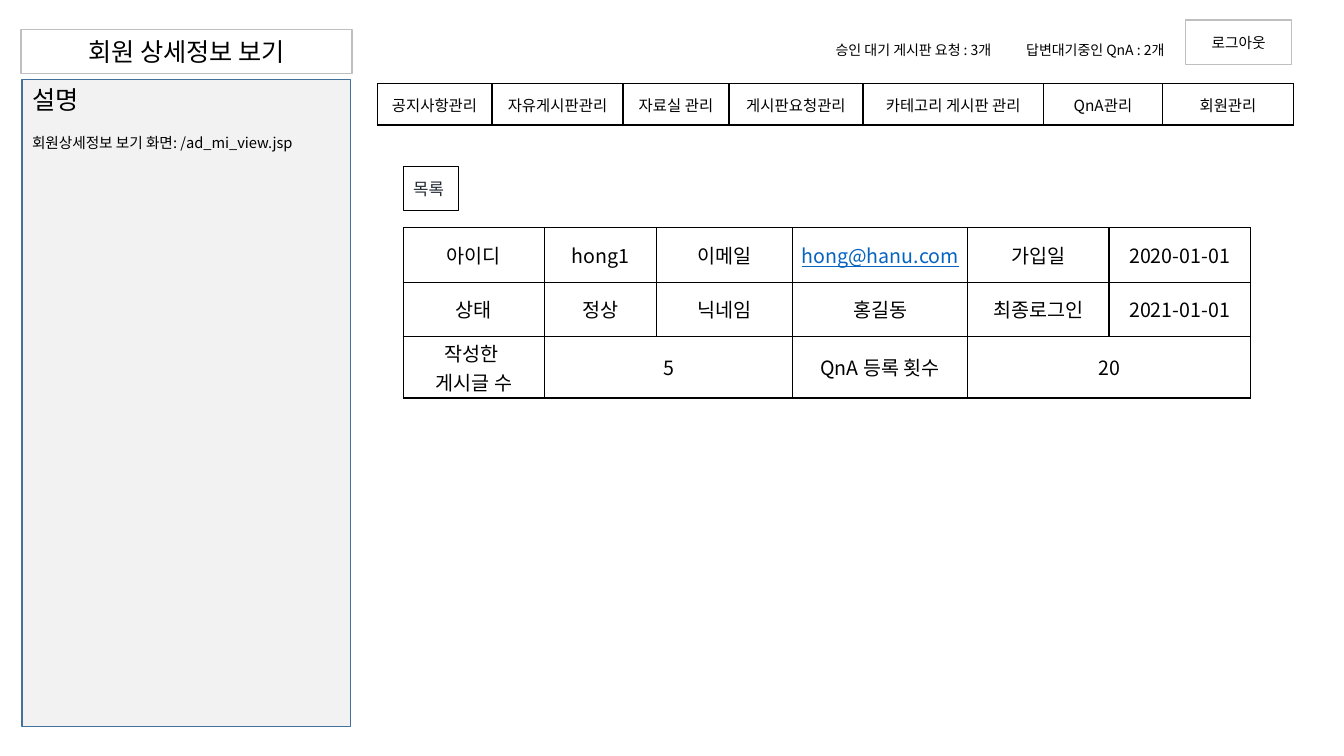
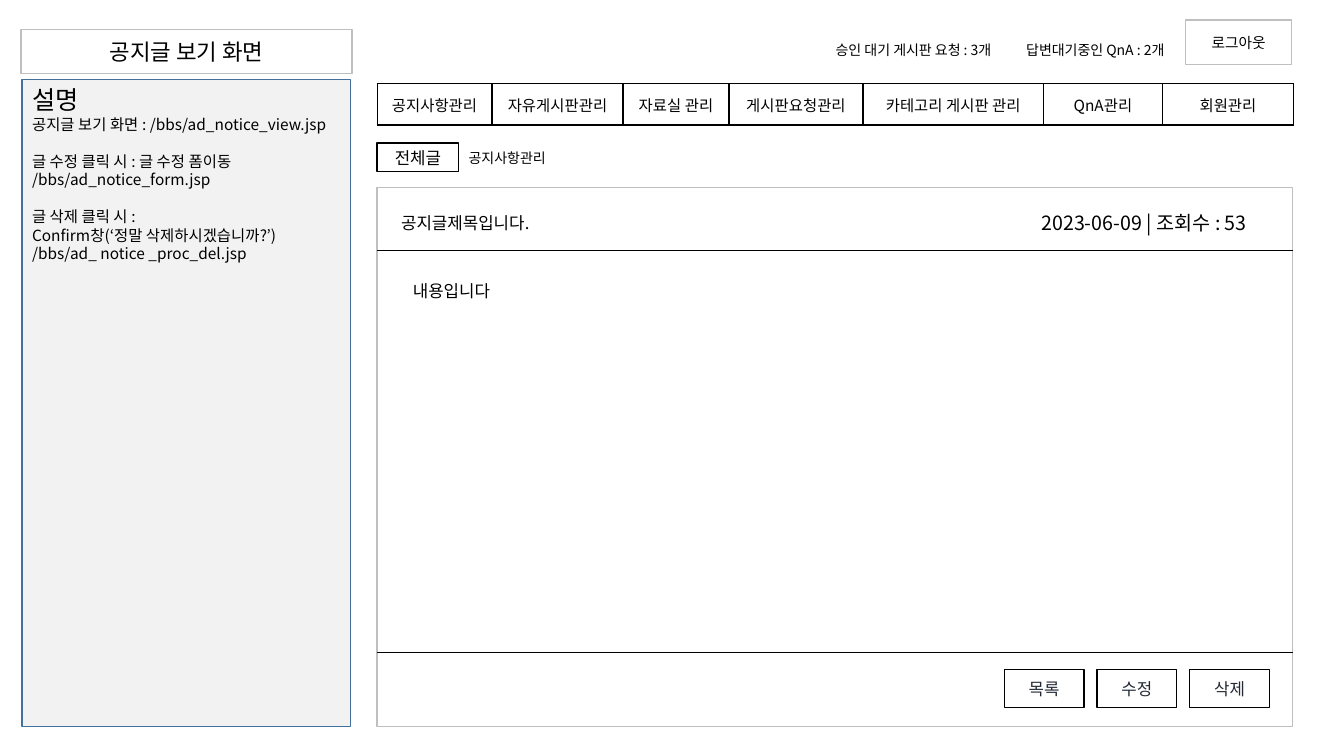
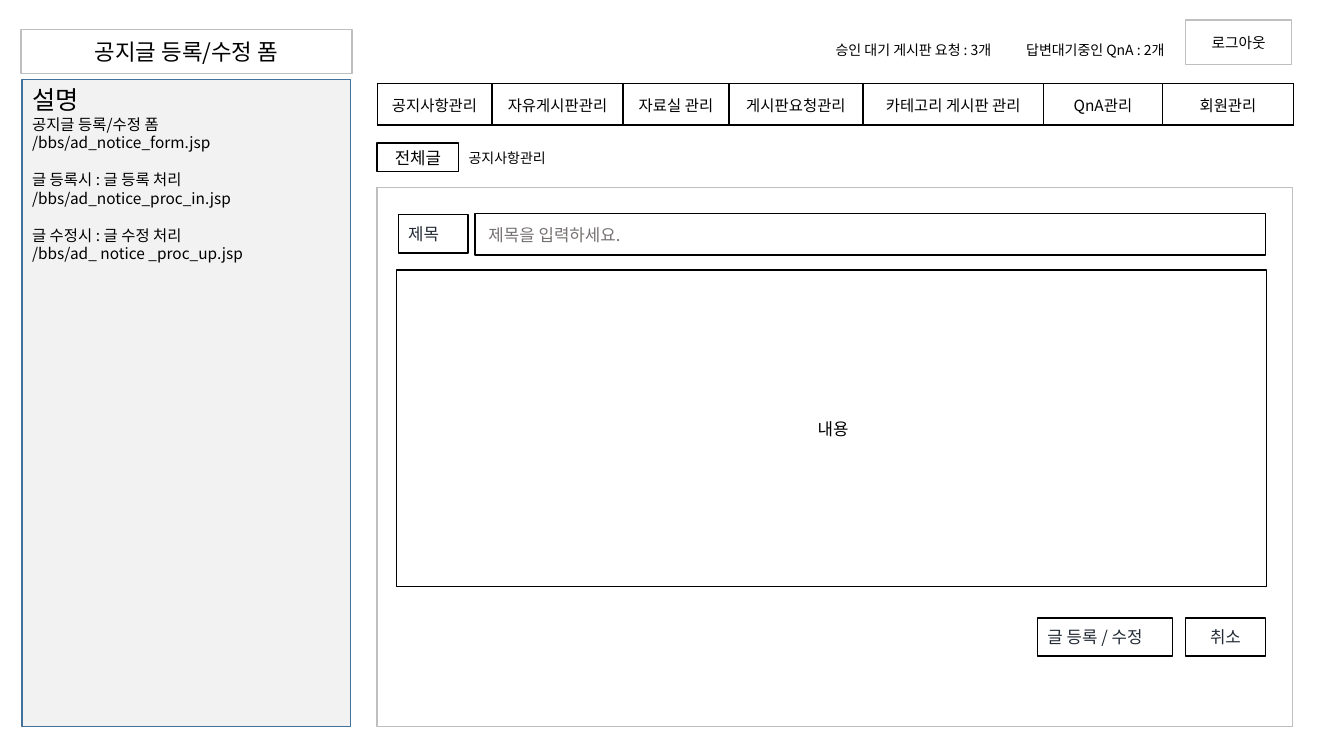
"""Build three admin wireframe slides: member detail, notice view and notice form."""
from lxml import etree
from pptx import Presentation
from pptx.dml.color import RGBColor
from pptx.enum import shapes, text
from pptx.oxml.ns import qn
from pptx.util import Inches, Pt

FONT = "Noto Sans CJK KR"
BLACK = RGBColor(0x00, 0x00, 0x00)
WHITE = RGBColor(0xFF, 0xFF, 0xFF)
SILVER = RGBColor(0xBF, 0xBF, 0xBF)
PANEL_GREY = RGBColor(0xF2, 0xF2, 0xF2)
PANEL_BLUE = RGBColor(0x42, 0x71, 0x9B)
BUTTON_INK = RGBColor(0x22, 0x2A, 0x35)
HINT_GREY = RGBColor(0x76, 0x71, 0x71)
LINK_BLUE = RGBColor(0x05, 0x63, 0xC1)

LEFT, CENTER = text.PP_ALIGN.LEFT, text.PP_ALIGN.CENTER
TOP, MIDDLE = text.MSO_ANCHOR.TOP, text.MSO_ANCHOR.MIDDLE

MENU = ["공지사항관리", "자유게시판관리", "자료실 관리", "게시판요청관리",
        "카테고리 게시판 관리", "QnA관리", "회원관리"]
MENU_WIDTHS = [1.14, 1.3, 1.05, 1.33, 1.79, 1.18, 1.3]
COUNTERS = [("답변대기중인 QnA : 2개", 10.08, 1.72),
            ("승인 대기 게시판 요청 : 3개", 8.19, 1.96)]

EMAIL = "hong@hanu.com"
MEMBER = [["아이디", "hong1", "이메일", EMAIL, "가입일", "2020-01-01"],
          ["상태", "정상", "닉네임", "홍길동", "최종로그인", "2021-01-01"],
          ["작성한 \n게시글 수", "5", "", "QnA 등록 횟수", "20", ""]]
MEMBER_WIDTHS = [1.4, 1.11, 1.35, 1.74, 1.4, 1.4]
MEMBER_HEIGHTS = [0.54, 0.54, 0.61]
MEMBER_MERGES = [(2, 1, 2), (2, 4, 5)]

DETAIL_NOTES = [["회원상세정보 보기 화면: /ad_mi_view.jsp"]]
VIEW_NOTES = [["공지글 보기 화면 : /bbs/ad_notice_view.jsp"],
              ["글 수정 클릭 시 : 글 수정 폼이동", "/bbs/ad_notice_form.jsp"],
              ["글 삭제 클릭 시 :", "Confirm창(‘정말 삭제하시겠습니까?’)",
               "/bbs/ad_ notice _proc_del.jsp"]]
FORM_NOTES = [["공지글 등록/수정 폼", "/bbs/ad_notice_form.jsp"],
              ["글 등록시 : 글 등록 처리", "/bbs/ad_notice_proc_in.jsp"],
              ["글 수정시 : 글 수정 처리", "/bbs/ad_ notice _proc_up.jsp"]]
VIEW_BUTTONS = ["목록", "수정", "삭제"]

MAIN_LEFT, MAIN_RIGHT = 3.74, 12.82
NOTE_GAP = 13.2


def style(paragraph, size, color=BLACK, align=LEFT):
    paragraph.alignment = align
    for run in paragraph.runs:
        run.font.size = Pt(size)
        run.font.color.rgb = color
        run.font.name = FONT
        etree.SubElement(run.font._element, qn("a:ea"), typeface=FONT)


def box(slide, place, words="", size=12, color=BLACK, line=BLACK, fill=WHITE,
        align=CENTER, anchor=MIDDLE):
    rect = slide.shapes.add_shape(shapes.MSO_SHAPE.RECTANGLE, *map(Inches, place))
    rect.shadow.inherit = False
    rect.fill.solid()
    rect.fill.fore_color.rgb = fill
    if line is None:
        rect.line.fill.background()
    else:
        rect.line.color.rgb = line
        rect.line.width = Pt(1)
    frame = rect.text_frame
    frame.word_wrap = True
    frame.vertical_anchor = anchor
    if words:
        frame.text = words
        style(frame.paragraphs[0], size, color, align)
    return rect


def label(slide, place, words, size=10):
    frame = slide.shapes.add_textbox(*map(Inches, place)).text_frame
    frame.word_wrap = True
    frame.text = words
    style(frame.paragraphs[0], size)


def rule(slide, y):
    divider = slide.shapes.add_connector(
        shapes.MSO_CONNECTOR.STRAIGHT,
        Inches(MAIN_LEFT), Inches(y), Inches(MAIN_RIGHT), Inches(y))
    divider.line.color.rgb = BLACK
    divider.line.width = Pt(0.5)
    etree.SubElement(divider._element.spPr, qn("a:effectLst"))


def outline(cell):
    properties = cell._tc.get_or_add_tcPr()
    for position, side in enumerate(("a:lnL", "a:lnR", "a:lnT", "a:lnB")):
        border = etree.Element(qn(side), w=str(Pt(1)))
        solid = etree.SubElement(border, qn("a:solidFill"))
        etree.SubElement(solid, qn("a:srgbClr"), val=str(BLACK))
        properties.insert(position, border)


def grid(slide, left, top, rows, widths, heights, size, inset):
    table = slide.shapes.add_table(
        len(rows), len(widths), Inches(left), Inches(top),
        Inches(sum(widths)), Inches(sum(heights))).table
    table.first_row = table.horz_banding = False
    for column, width in zip(table.columns, widths):
        column.width = Inches(width)
    for r, row in enumerate(rows):
        table.rows[r].height = Inches(heights[r])
        for c, words in enumerate(row):
            cell = table.cell(r, c)
            cell.text = words
            cell.vertical_anchor = MIDDLE
            cell.margin_left = cell.margin_right = Inches(inset)
            cell.margin_top = cell.margin_bottom = Inches(inset / 2)
            cell.fill.background()
            outline(cell)
            for paragraph in cell.text_frame.paragraphs:
                style(paragraph, size, align=CENTER)
    return table


def describe(slide, groups, size, heading_gap):
    panel = box(slide, (0.22, 0.79, 3.26, 6.42), "설명", 18, line=PANEL_BLUE,
                fill=PANEL_GREY, align=LEFT, anchor=TOP)
    for g, group in enumerate(groups):
        for n, note in enumerate(group):
            paragraph = panel.text_frame.add_paragraph()
            paragraph.text = note
            if n == 0:
                paragraph.space_before = Pt(NOTE_GAP if g else heading_gap)
            style(paragraph, size)


def admin_page(title, title_size, notes, note_size=11, heading_gap=0):
    slide = deck.slides.add_slide(deck.slide_layouts[6])
    box(slide, (0.21, 0.29, 3.28, 0.44), title, title_size, line=SILVER)
    describe(slide, notes, note_size, heading_gap)
    box(slide, (11.76, 0.2, 1.05, 0.44), "로그아웃", 10.5, line=SILVER)
    grid(slide, MAIN_LEFT, 0.83, [MENU], MENU_WIDTHS, [0.41], 11, 0.1)
    for counter, left, width in COUNTERS:
        label(slide, (left, 0.36, width, 0.27), counter)
    return slide


def notice_page(title, notes):
    slide = admin_page(title, 16, notes)
    box(slide, (MAIN_LEFT, 1.42, 0.81, 0.28), "전체글", anchor=TOP)
    label(slide, (4.55, 1.43, 1.14, 0.27), "공지사항관리")
    box(slide, (MAIN_LEFT, 1.86, MAIN_RIGHT - MAIN_LEFT, 5.35), line=SILVER)
    return slide


deck = Presentation()
deck.slide_width, deck.slide_height = Inches(13.33), Inches(7.5)

detail = admin_page("회원 상세정보 보기", 18, DETAIL_NOTES, 10.5, NOTE_GAP)
box(detail, (4, 1.65, 0.55, 0.44), "목록", color=BUTTON_INK, align=LEFT)
member = grid(detail, 4, 2.26, MEMBER, MEMBER_WIDTHS, MEMBER_HEIGHTS, 14, 0.04)
for row, first, last in MEMBER_MERGES:
    member.cell(row, first).merge(member.cell(row, last))
email = member.cell(0, MEMBER[0].index(EMAIL)).text_frame.paragraphs[0].runs[0]
email.font.color.rgb = LINK_BLUE
email.font.underline = True

view = notice_page("공지글 보기 화면", VIEW_NOTES)
box(view, (3.88, 2.01, 8.63, 0.41), "공지글제목입니다.", line=None, align=LEFT)
box(view, (3.96, 2.74, 8.63, 3.45), " 내용입니다", line=None, align=LEFT, anchor=TOP)
label(view, (10.23, 2.04, 2.42, 0.34), "2023-06-09 | 조회수 : 53", 14)
for y in (2.48, 6.47):
    rule(view, y)
for i, action in enumerate(VIEW_BUTTONS):
    box(view, (9.96 + 0.92 * i, 6.64, 0.79, 0.38), action, color=BUTTON_INK)

form = notice_page("공지글 등록/수정 폼", FORM_NOTES)
box(form, (3.95, 2.13, 0.69, 0.38), "제목", color=BUTTON_INK, align=LEFT)
box(form, (4.71, 2.12, 7.84, 0.41), " 제목을 입력하세요.", color=HINT_GREY, align=LEFT)
box(form, (3.93, 2.68, 8.63, 3.14), " 내용")
box(form, (10.29, 6.13, 1.34, 0.38), "글 등록 / 수정", color=BUTTON_INK, align=LEFT)
box(form, (11.76, 6.13, 0.79, 0.38), "취소", color=BUTTON_INK)

deck.save("out.pptx")
